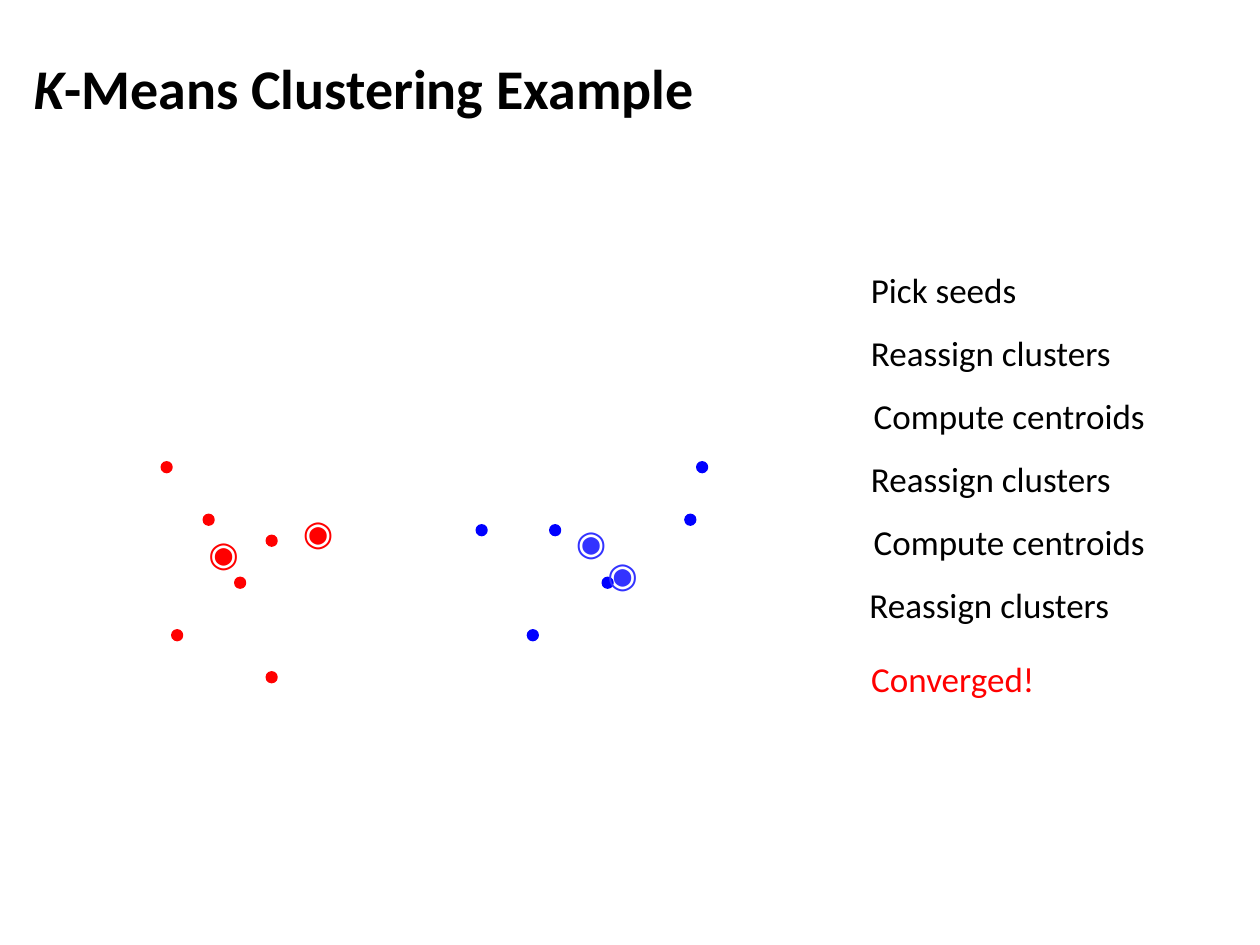
from pptx import Presentation
from pptx.dml.color import RGBColor
from pptx.enum.shapes import MSO_SHAPE
from pptx.enum.text import MSO_ANCHOR, MSO_AUTO_SIZE, PP_ALIGN
from pptx.util import Pt

ELLIPSE = MSO_SHAPE.OVAL
LEFT, CENTER = PP_ALIGN.LEFT, PP_ALIGN.CENTER
MIDDLE = MSO_ANCHOR.MIDDLE
FIT_SHAPE, NO_FIT = MSO_AUTO_SIZE.SHAPE_TO_FIT_TEXT, MSO_AUTO_SIZE.NONE

EMU_PER_PX = 9525
BLACK, RED, BLUE, CENTROID_BLUE = "000000", "FF0000", "0000FF", "3333FF"

RED_POINTS = [(123, 352), (155, 392), (203, 408), (179, 440), (203, 512), (131, 480)]
BLUE_POINTS = [(459, 440), (402, 480), (522, 392), (419, 400), (531, 352), (363, 400)]
RED_CENTROIDS = [(221, 384), (149, 400)]
BLUE_CENTROIDS = [(453, 416), (429, 392)]

STEP_LEFT, STEP_TOP, STEP_PITCH = 653, 200, 48
STEPS = [
    ("Pick seeds", 132, CENTER),
    ("Reassign clusters", 204, CENTER),
    ("Compute centroids", 232, CENTER),
    ("Reassign clusters", 204, CENTER),
    ("Compute centroids", 232, CENTER),
    ("Reassign clusters", 204, LEFT),
]


def px(*values):
    return [v * EMU_PER_PX for v in values]


def rgb(value):
    return RGBColor.from_string(value)


def add_run(p, text, *, size=20, font="Calibri", color=BLACK, bold=False, italic=False):
    r = p.add_run()
    r.text = text
    r.font.size = Pt(size)
    r.font.name = font
    r.font.color.rgb = rgb(color)
    r.font.bold = bold
    r.font.italic = italic


class Deck:
    """Holds the slide style and the slide being drawn."""

    point_size = 8
    centroid_width = 43
    line_height = 42

    def __init__(self, prs):
        self.s = prs.slides.add_slide(prs.slide_layouts[5])

    def title(self, parts, x, y, w, h):
        """Fill the title placeholder from (text, italic) parts."""
        sp = self.s.shapes.title
        sp.left, sp.top, sp.width, sp.height = px(x, y, w, h)
        tf = sp.text_frame
        tf.auto_size = NO_FIT
        tf.vertical_anchor = MIDDLE
        p = tf.paragraphs[0]
        p.alignment = LEFT
        for text, italic in parts:
            add_run(p, text, size=32, bold=True, italic=italic)

    def label(self, text, x, y, w, align=CENTER, **style):
        sp = self.s.shapes.add_textbox(*px(x, y, w, self.line_height))
        tf = sp.text_frame
        tf.word_wrap = False
        tf.auto_size = FIT_SHAPE
        p = tf.paragraphs[0]
        p.alignment = align
        add_run(p, text, **style)

    def point(self, x, y, color):
        size = self.point_size
        sp = self.s.shapes.add_shape(ELLIPSE, *px(x, y, size, size))
        sp.shadow.inherit = False
        sp.fill.solid()
        sp.fill.fore_color.rgb = rgb(color)
        sp.line.color.rgb = rgb(color)
        sp.line.width = Pt(1)

    def centroid(self, x, y, color):
        self.label("◉", x, y, self.centroid_width, font="Arial", color=color)


def main():
    prs = Presentation()
    prs.slide_width, prs.slide_height = px(960, 720)
    deck = Deck(prs)

    deck.title([("K", True), ("-Means Clustering Example", False)], 16, 12, 912, 108)

    for color, points in ((RED, RED_POINTS), (BLUE, BLUE_POINTS)):
        for x, y in points:
            deck.point(x, y, color)
    for color, centroids in ((RED, RED_CENTROIDS), (CENTROID_BLUE, BLUE_CENTROIDS)):
        for x, y in centroids:
            deck.centroid(x, y, color)

    for i, (text, width, align) in enumerate(STEPS):
        deck.label(text, STEP_LEFT, STEP_TOP + i * STEP_PITCH, width, align)
    deck.label("Converged!", STEP_LEFT, 496, 146, color=RED)

    prs.save("out.pptx")


if __name__ == "__main__":
    main()
